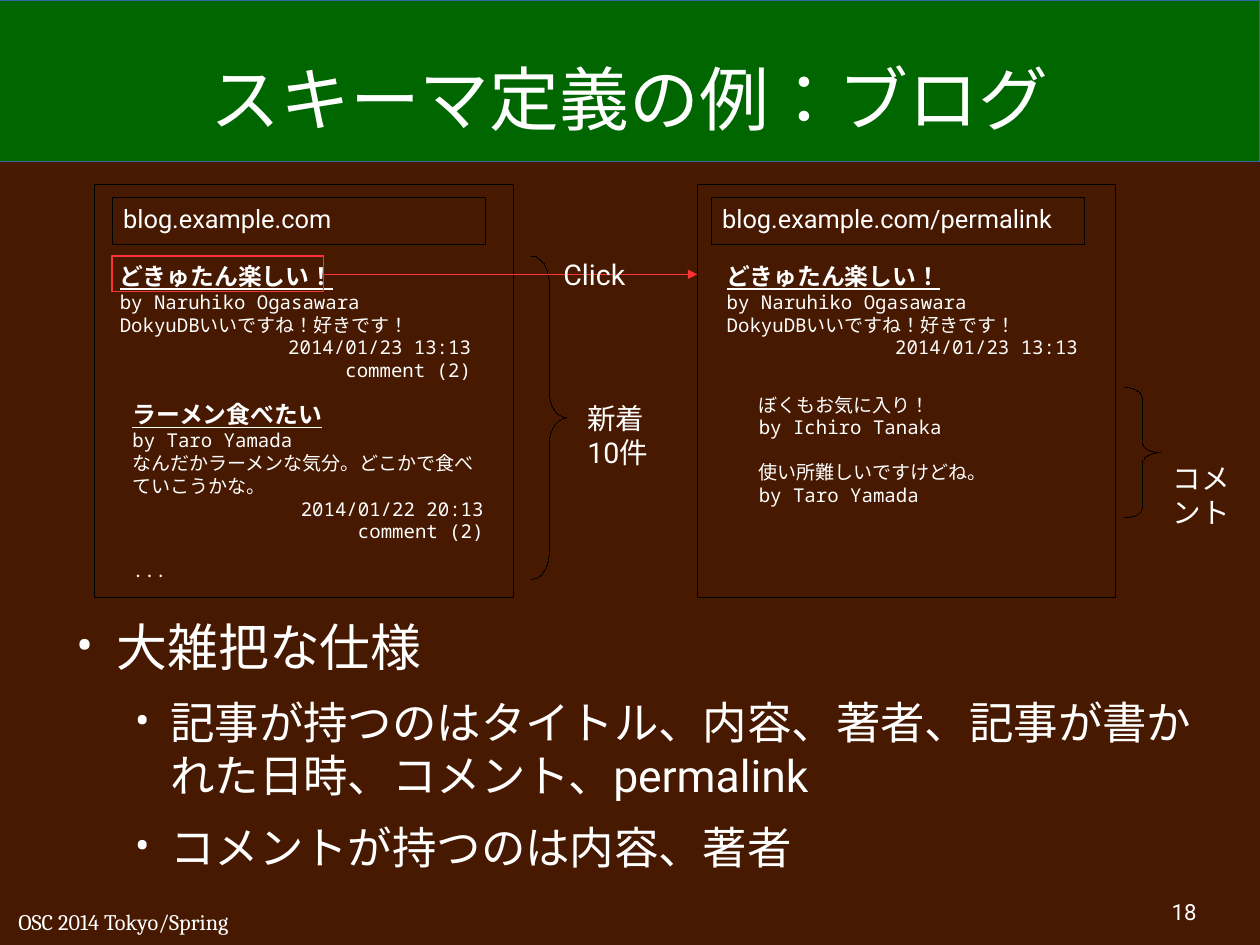
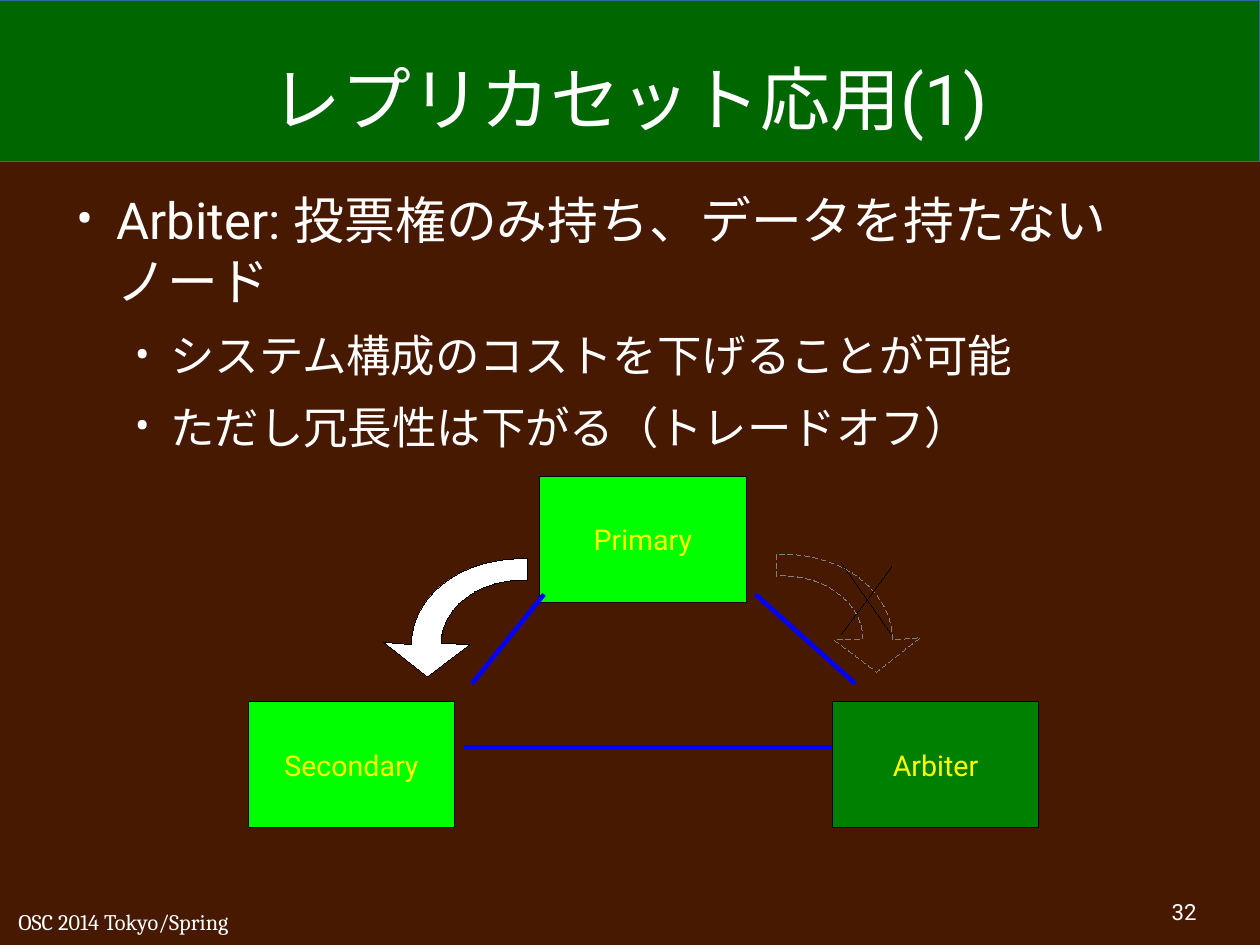
from lxml.etree import SubElement
from pptx import Presentation
from pptx.dml.color import RGBColor
from pptx.enum.dml import MSO_LINE_DASH_STYLE as Dash
from pptx.enum.lang import MSO_LANGUAGE_ID as Language
from pptx.enum.shapes import MSO_CONNECTOR, MSO_SHAPE as Shape
from pptx.enum.text import MSO_ANCHOR as Anchor, PP_ALIGN as Align
from pptx.oxml.ns import qn
from pptx.util import Cm, Inches, Pt

WHITE = RGBColor(0xFF, 0xFF, 0xFF)
BLACK = RGBColor(0, 0, 0)
BROWN = RGBColor(0x46, 0x19, 0x00)
BAND = RGBColor(0x00, 0x66, 0x00)
BAND_EDGE = RGBColor(0x34, 0x65, 0xA4)
RED = RGBColor(0xFF, 0x33, 0x33)
LIME = RGBColor(0x00, 0xFF, 0x00)
GREEN = RGBColor(0x00, 0x80, 0x00)
YELLOW = RGBColor(0xFF, 0xFF, 0x00)
BLUE = RGBColor(0x00, 0x00, 0xFF)
GRAY = RGBColor(0x80, 0x80, 0x80)

SANS, MONO, SERIF = "Roboto", "Noto Sans Mono", "Cambria"
WIDTH, HEIGHT = Cm(28), Cm(21)
FOOTER = "OSC 2014 Tokyo/Spring"
PAD = (0.1, 0.05)
HAIRLINE = 0.01
LEVELS = [
    {"size": 32, "left": 0.47, "hang": 0.35, "before": 14.2},
    {"size": 28, "left": 0.94, "hang": 0.31, "before": 11.3},
]

BLOG = {
    "title": "スキーマ定義の例：ブログ",
    "number": 18,
    "body_at": (0.55, 5.39, 9.92, 2.65),
    "body": [
        (0, "大雑把な仕様"),
        (1, "記事が持つのはタイトル、内容、著者、記事が書かれた日時、コメント、permalink"),
        (1, "コメントが持つのは内容、著者"),
    ],
}
REPLICA = {
    "title": "レプリカセット応用(1)",
    "number": 32,
    "body_at": (0.55, 1.65, 9.92, 4.8),
    "body": [
        (0, "Arbiter: 投票権のみ持ち、データを持たないノード"),
        (1, "システム構成のコストを下げることが可能"),
        (1, "ただし冗長性は下がる（トレードオフ）"),
    ],
}

PAGES = [
    (0.83, 0.98, "blog.example.com"),
    (6.1, 6.22, "blog.example.com/permalink"),
]
FIRST_POST = ["どきゅたん楽しい！", "by Naruhiko Ogasawara", "DokyuDBいいですね！好きです！"]
ARTICLES = [
    ((0.95, 2.24, 3.27, 1.23), FIRST_POST, ["2014/01/23 13:13", "comment (2)"]),
    ((1.06, 3.45, 3.27, 1.47),
     ["ラーメン食べたい", "by Taro Yamada", "なんだかラーメンな気分。どこかで食べていこうかな。"],
     ["2014/01/22 20:13", "comment (2)"]),
    ((6.26, 2.24, 3.27, 1.03), FIRST_POST, ["2014/01/23 13:13"]),
]
MONO_NOTES = [
    ((1.06, 4.84, 3.27, 0.31), ["..."]),
    ((6.54, 3.39, 2.99, 0.54), ["ぼくもお気に入り！", "by Ichiro Tanaka"]),
    ((6.54, 3.98, 2.99, 0.54), ["使い所難しいですけどね。", "by Taro Yamada"]),
]
BRACES = [
    ((4.65, 2.24, 0.31, 2.83), 0.76),
    ((9.84, 3.39, 0.31, 1.14), 0.3),
]
BRACE_LABELS = [
    ((5.04, 3.46, 0.91, 0.82), "新着10件"),
    ((10.16, 3.98, 0.71, 0.82), "コメント"),
]

NODE_SIZE = (1.81, 1.1)
NODES = [
    ("Primary", 4.72, 4.17, LIME),
    ("Secondary", 2.17, 6.14, LIME),
    ("Arbiter", 7.28, 6.14, GREEN),
]
LINKS = [
    ((4.76, 5.2), (4.13, 5.98)),
    ((7.28, 6.54), (4.06, 6.54)),
    ((6.61, 5.2), (7.48, 5.98)),
]
CROSS = [
    ((7.36, 5.55), (7.8, 4.96)),
    ((7.36, 4.92), (7.8, 5.55)),
]
ARROW = [
    [(3.86, 5.63)],
    [(3.86, 5.48), (3.94, 5.33), (4.08, 5.23)],
    [(4.22, 5.12), (4.42, 5.07), (4.62, 5.08)],
    [(4.62, 4.89)],
    [(4.35, 4.88), (4.09, 4.95), (3.9, 5.09)],
    [(3.71, 5.23), (3.6, 5.43), (3.6, 5.64)],
    [(3.36, 5.62)],
    [(3.74, 5.92)],
    [(4.11, 5.64)],
]
MIRROR_SUM, MIRROR_DROP = 11.41, -0.04
CURVE_STEPS = 12


def inches(values):
    return [Inches(v) for v in values]


def style_line(line, color, width=HAIRLINE):
    line.color.rgb = color
    line.width = Pt(width)


def paint(shape, fill, color, width=HAIRLINE):
    shape.shadow.inherit = False
    if fill is None:
        shape.fill.background()
    else:
        shape.fill.solid()
        shape.fill.fore_color.rgb = fill
    style_line(shape.line, color, width)
    return shape


def add_box(s, at, fill=None, color=BLACK, width=HAIRLINE, kind=Shape.RECTANGLE):
    return paint(s.shapes.add_shape(kind, *inches(at)), fill, color, width)


def write(sp, lines, size, font=SANS, color=WHITE, align=Align.LEFT,
          anchor=Anchor.TOP, pad=PAD, wrap=True):
    tf = sp.text_frame
    tf.word_wrap = wrap
    tf.vertical_anchor = anchor
    tf.margin_left = tf.margin_right = Inches(pad[0])
    tf.margin_top = tf.margin_bottom = Inches(pad[1])
    tf.text = "\n".join(lines)
    for p in tf.paragraphs:
        p.alignment = align
        for r in p.runs:
            r.font.size = Pt(size)
            r.font.name = font
            r.font.color.rgb = color
            r.font.language_id = Language.JAPANESE
    return tf.paragraphs


def add_text(s, at, lines, size, **style):
    return write(s.shapes.add_textbox(*inches(at)), lines, size, **style)


def add_line(s, start, end, color, width=HAIRLINE, arrow=False):
    c = s.shapes.add_connector(MSO_CONNECTOR.STRAIGHT, *inches(start + end))
    style_line(c.line, color, width)
    props = c._element.spPr
    if arrow:
        SubElement(props.find(qn("a:ln")), qn("a:tailEnd"), type="triangle")
    SubElement(props, qn("a:effectLst"))


def add_body(s, at, items):
    paragraphs = add_text(s, at, [text for _, text in items], 32, pad=(0, 0))
    for p, (level, _) in zip(paragraphs, items):
        rule = LEVELS[level]
        p.level = level
        p.space_before = Pt(rule["before"])
        p.runs[0].font.size = Pt(rule["size"])
        props = p._p.get_or_add_pPr()
        props.set("marL", str(Inches(rule["left"])))
        props.set("indent", str(-Inches(rule["hang"])))
        SubElement(props, qn("a:buFont"), typeface=SANS)
        SubElement(props, qn("a:buChar"), char="•")


def add_base(prs, content):
    s = prs.slides.add_slide(prs.slide_layouts[6])
    s.background.fill.solid()
    s.background.fill.fore_color.rgb = BROWN
    add_box(s, (0, 0, WIDTH.inches, 1.41), BAND, BAND_EDGE)
    add_text(s, (0.55, 0.33, 9.92, 1.05), [content["title"]], 44,
             align=Align.CENTER, anchor=Anchor.MIDDLE, pad=(0, 0))
    add_body(s, content["body_at"], content["body"])
    add_text(s, (0.16, 7.95, 3.48, 0.24), [FOOTER], 14, font=SERIF, pad=(0, 0))
    add_text(s, (7.9, 7.86, 2.57, 0.24), [str(content["number"])], 14,
             align=Align.RIGHT, pad=(0, 0))
    return s


def add_article(s, at, lines, stamps):
    paragraphs = add_text(s, at, lines + stamps, 12, font=MONO)
    heading = paragraphs[0].runs[0].font
    heading.name, heading.size = SANS, Pt(15)
    heading.bold = heading.underline = True
    for p in paragraphs[len(lines):]:
        p.alignment = Align.RIGHT


def bezier(points, t):
    weights = ((1 - t) ** 3, 3 * t * (1 - t) ** 2, 3 * t * t * (1 - t), t ** 3)
    return tuple(sum(k * p[axis] for k, p in zip(weights, points)) for axis in (0, 1))


def outline(segments):
    points = list(segments[0])
    for segment in segments[1:]:
        if len(segment) == 1:
            points += segment
        else:
            curve = [points[-1]] + segment
            points += [bezier(curve, i / CURVE_STEPS) for i in range(1, CURVE_STEPS + 1)]
    return points


def add_outline(s, points, fill, color):
    start, *rest = [tuple(inches(point)) for point in points]
    builder = s.shapes.build_freeform(*start)
    builder.add_line_segments(rest, close=True)
    return paint(builder.convert_to_shape(), fill, color)


def build_blog(prs):
    s = add_base(prs, BLOG)
    for left, bar_left, address in PAGES:
        add_box(s, (left, 1.61, 3.66, 3.62))
        bar = add_box(s, (bar_left, 1.73, 3.27, 0.41), width=0.5)
        write(bar, [address], 16)
    for at, lines, stamps in ARTICLES:
        add_article(s, at, lines, stamps)
    for at, lines in MONO_NOTES:
        add_text(s, at, lines, 12, font=MONO)
    for at, curl in BRACES:
        brace = add_box(s, at, kind=Shape.RIGHT_BRACE)
        brace.adjustments[0] = curl
    for at, label in BRACE_LABELS:
        add_text(s, at, [label], 18)
    add_box(s, (0.98, 2.24, 1.85, 0.31), color=RED, width=1)
    add_line(s, (2.83, 2.4), (6.1, 2.4), RED, arrow=True)
    add_text(s, (4.7, 2.2, 1, 0.4), ["Click"], 18,
             align=Align.CENTER, anchor=Anchor.MIDDLE)


def build_replica(prs):
    s = add_base(prs, REPLICA)
    for name, left, top, fill in NODES:
        node = add_box(s, (left, top) + NODE_SIZE, fill)
        write(node, [name], 18, color=YELLOW, align=Align.CENTER,
              anchor=Anchor.MIDDLE, wrap=False)
    for start, end in LINKS:
        add_line(s, start, end, BLUE, 2.83)
    points = outline(ARROW)
    add_outline(s, points, WHITE, BLACK)
    mirrored = [(MIRROR_SUM - x, y + MIRROR_DROP) for x, y in points]
    add_outline(s, mirrored, None, GRAY).line.dash_style = Dash.DASH
    for start, end in CROSS:
        add_line(s, start, end, BLACK)


def main():
    prs = Presentation()
    prs.slide_width, prs.slide_height = WIDTH, HEIGHT
    build_blog(prs)
    build_replica(prs)
    prs.save("out.pptx")


if __name__ == "__main__":
    main()
